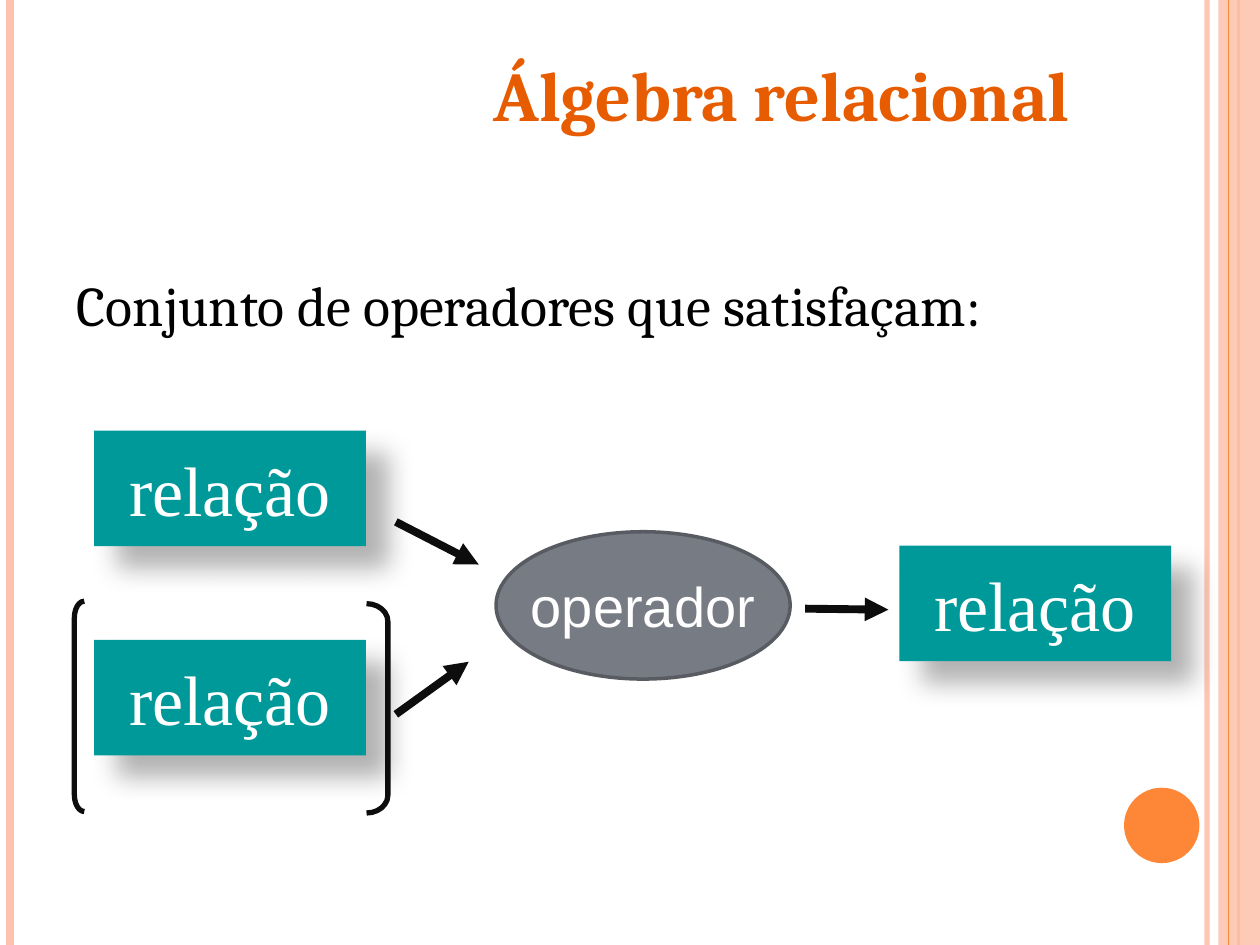
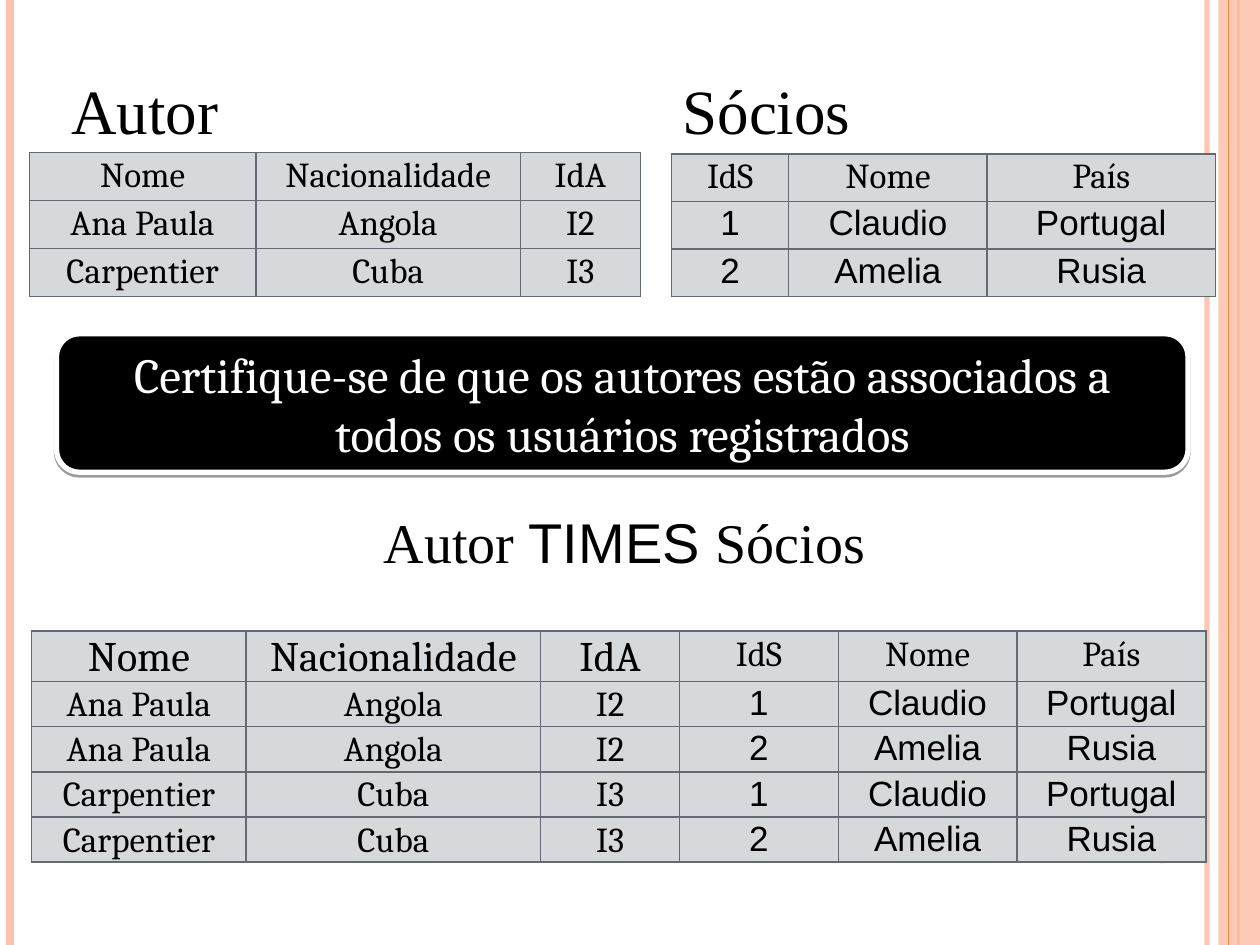
from itertools import product
from lxml import etree
from pptx import Presentation
from pptx.dml.color import RGBColor
from pptx.enum import shapes, text
from pptx.oxml import ns
from pptx.util import Cm, Pt

# Look
HUE = {"peach": "FEC3AE", "orange": "FE8637", "title": "E75C01", "teal": "009999",
       "grey": "777C84", "rim": "585C62", "ink": "0D0D0D", "black": "000000",
       "white": "FFFFFF", "cell": "D6D9DC", "grid": "636A74"}
SERIF, SANS, ROMAN = "Cambria", "Arial", "Times New Roman"
KIND = shapes.MSO_SHAPE
MID = text.PP_ALIGN.CENTER
WIDE, HIGH = 25.4, 19.05

# Shared bands: x, colour, width in points, opacity
BANDS = [(24.33, "peach", 3, 93), (0.2, "peach", 4.5, 100), (24.97, "orange", 1.5, 100)]
INNER = (24.77, "orange", 0.75, 100)

# Slide 1: a relational operator takes relations and gives a relation
TITLE = "Álgebra relacional"
LEAD = "Conjunto de operadores que satisfaçam:"
BOX = (5.48, 2.33)
BOXES = [(1.9, 12.9), (1.9, 8.68), (18.13, 11)]
BRACES = [(KIND.LEFT_BRACKET, (1.5, 12.12, 0.2, 4.24), 1.67),
          (KIND.RIGHT_BRACKET, (7.39, 12.17, 0.43, 4.22), 0.83)]
ARROWS = [(7.98, 14.4, 9.45, 13.34), (7.98, 10.52, 9.65, 11.38),
          (16.23, 12.27, 17.91, 12.29)]

# Slide 2: two tables and their product
AUTHOR = ["Nome", "Nacionalidade", "IdA"]
WRITERS = [["Ana Paula", "Angola", "I2"], ["Carpentier", "Cuba", "I3"]]
MEMBER = ["IdS", "Nome", "País"]
USERS = [["1", "Claudio", "Portugal"], ["2", "Amelia", "Rusia"]]
PAIRS = [a + b for a, b in product(WRITERS, USERS)]
NOTE = "Certifique-se de que os autores estão associados a todos os usuários registrados"
LABELS = [((1.19, 1.32, 4.7, 1.8), 36, [("Autor", ROMAN)]),
          ((13.51, 1.32, 4.8, 1.8), 36, [("Sócios", ROMAN)]),
          ((7.49, 10.11, 11.4, 1.63), 32,
           [("Autor ", ROMAN), ("TIMES ", SANS), ("Sócios", ROMAN)])]


def rgb(name):
    return RGBColor.from_string(HUE[name])


def sub(node, tag, **attrs):
    return etree.SubElement(node, ns.qn("a:" + tag), {k: str(v) for k, v in attrs.items()})


def fade(item, rate):
    if rate < 100:
        for tint in item._element.spPr.iter(ns.qn("a:srgbClr")):
            sub(tint, "alpha", val=rate * 1000)


def style(run, size, font, hue, bold=False):
    run.font.size, run.font.name, run.font.bold = Pt(size), font, bold
    run.font.color.rgb = rgb(hue)


def rule(slide, x1, y1, x2, y2, hue, width, rate=100, arrow=False):
    line = slide.shapes.add_connector(shapes.MSO_CONNECTOR.STRAIGHT,
                                      Cm(x1), Cm(y1), Cm(x2), Cm(y2))
    line.line.color.rgb, line.line.width = rgb(hue), Pt(width)
    if arrow:
        sub(line.line._get_or_add_ln(), "tailEnd", type="triangle")
    sub(line._element.spPr, "effectLst")
    fade(line, rate)


def form(slide, kind, area, fill=None, edge=None, width=0, adj=None):
    item = slide.shapes.add_shape(kind, *map(Cm, area))
    item.shadow.inherit = False
    if fill:
        item.fill.solid()
        item.fill.fore_color.rgb = rgb(fill)
    else:
        item.fill.background()
    if edge:
        item.line.color.rgb, item.line.width = rgb(edge), Pt(width)
    else:
        item.line.fill.background()
    if adj:
        item.adjustments[0] = adj
    return item


def shade(item, rate, blur, dist, angle):
    effect = item._element.spPr.find(ns.qn("a:effectLst"))
    drop = sub(effect, "outerShdw", blurRad=Pt(blur), dist=Pt(dist),
               dir=angle * 60000, algn="ctr", rotWithShape=0)
    sub(sub(drop, "srgbClr", val=HUE["black"]), "alpha", val=rate * 1000)


def fill_text(item, words, size, font, before=0, wrap=False):
    frame = item.text_frame
    frame.text = words
    frame.word_wrap = wrap
    frame.vertical_anchor = text.MSO_ANCHOR.MIDDLE
    para = frame.paragraphs[0]
    para.alignment, para.space_before = MID, Pt(before)
    style(para.runs[0], size, font, "white")


def label(slide, area, size, parts, hue="black", bold=False):
    frame = slide.shapes.add_textbox(*map(Cm, area)).text_frame
    frame.word_wrap = True
    for words, font in parts:
        run = frame.paragraphs[0].add_run()
        run.text = words
        style(run, size, font, hue, bold)


def trim(cell):
    props = cell._tc.get_or_add_tcPr()
    for spot, side in enumerate(("lnL", "lnR", "lnT", "lnB")):
        edge = sub(props, side, w=Pt(1))
        sub(sub(edge, "solidFill"), "srgbClr", val=HUE["grid"])
        props.insert(spot, edge)


def grid(slide, left, top, cols, tall, rows, sans=99, big=0):
    """Body cells from column sans on use Arial; the first big headings are larger."""
    high = [tall[0]] + [tall[1]] * (len(rows) - 1)
    table = slide.shapes.add_table(len(rows), len(cols), Cm(left), Cm(top),
                                   Cm(sum(cols)), Cm(sum(high))).table
    table.first_row = table.horz_banding = False
    for col, size in zip(table.columns, cols):
        col.width = Cm(size)
    for row, size in zip(table.rows, high):
        row.height = Cm(size)
    for r, c in product(range(len(rows)), range(len(cols))):
        cell = table.cell(r, c)
        cell.text = rows[r][c]
        cell.margin_left = cell.margin_right = Cm(0.13)
        cell.margin_top, cell.margin_bottom = Cm(0.14), 0
        cell.fill.solid()
        cell.fill.fore_color.rgb = rgb("cell")
        trim(cell)
        para = cell.text_frame.paragraphs[0]
        para.alignment, para.line_spacing = MID, 0.87
        style(para.runs[0], 24 if r == 0 and c < big else 20,
              SANS if r and c >= sans else SERIF, "black")


def start(deck):
    slide = deck.slides.add_slide(deck.slide_layouts[6])
    for x, *look in BANDS:
        rule(slide, x, 0, x, HIGH, *look)
    fade(form(slide, KIND.RECTANGLE, (24.56, 0, 0.84, HIGH), "peach"), 87)
    x, *look = INNER
    rule(slide, x, 0, x, HIGH, *look)
    form(slide, KIND.OVAL, (22.66, 15.88, 1.52, 1.52), "orange")
    return slide


def algebra(deck):
    slide = start(deck)
    label(slide, (1.3, 5.33, 21.49, 1.63), 32, [(LEAD, SERIF)])
    label(slide, (9.7, 0.91, 14.2, 1.96), 40, [(TITLE, SERIF)], "title", True)
    for spot in BOXES:
        box = form(slide, KIND.RECTANGLE, spot + BOX, "teal")
        shade(box, 30, 15, 18, 45)
        fill_text(box, "relação", 40, ROMAN, 9)
    for kind, area, adj in BRACES:
        form(slide, kind, area, None, "ink", 3, adj)
    oval = form(slide, KIND.OVAL, (10, 10.72, 5.93, 2.97), "grey", "rim", 2)
    fill_text(oval, "operador", 32, SANS, 7)
    for ends in ARROWS:
        rule(slide, *ends, "ink", 4.5, arrow=True)


def times(deck):
    slide = start(deck)
    grid(slide, 0.59, 3.07, [4.57, 5.33, 2.42], (0.97, 0.97), [AUTHOR] + WRITERS)
    grid(slide, 13.54, 3.1, [2.36, 4, 4.6], (0.96, 0.96), [MEMBER] + USERS, sans=0)
    note = form(slide, KIND.ROUNDED_RECTANGLE, (1.14, 6.73, 22.81, 2.79),
                "black", "white", 3)
    shade(note, 38, 0, 1.6, 90)
    fill_text(note, NOTE, 28, SERIF, wrap=True)
    grid(slide, 0.64, 12.72, [4.32, 5.94, 2.8, 3.2, 3.6, 3.81], (1.02, 0.91),
         [AUTHOR + MEMBER] + PAIRS, sans=3, big=3)
    for part in LABELS:
        label(slide, *part)


def main():
    deck = Presentation()
    deck.slide_width, deck.slide_height = Cm(WIDE), Cm(HIGH)
    algebra(deck)
    times(deck)
    deck.save("out.pptx")


if __name__ == "__main__":
    main()
